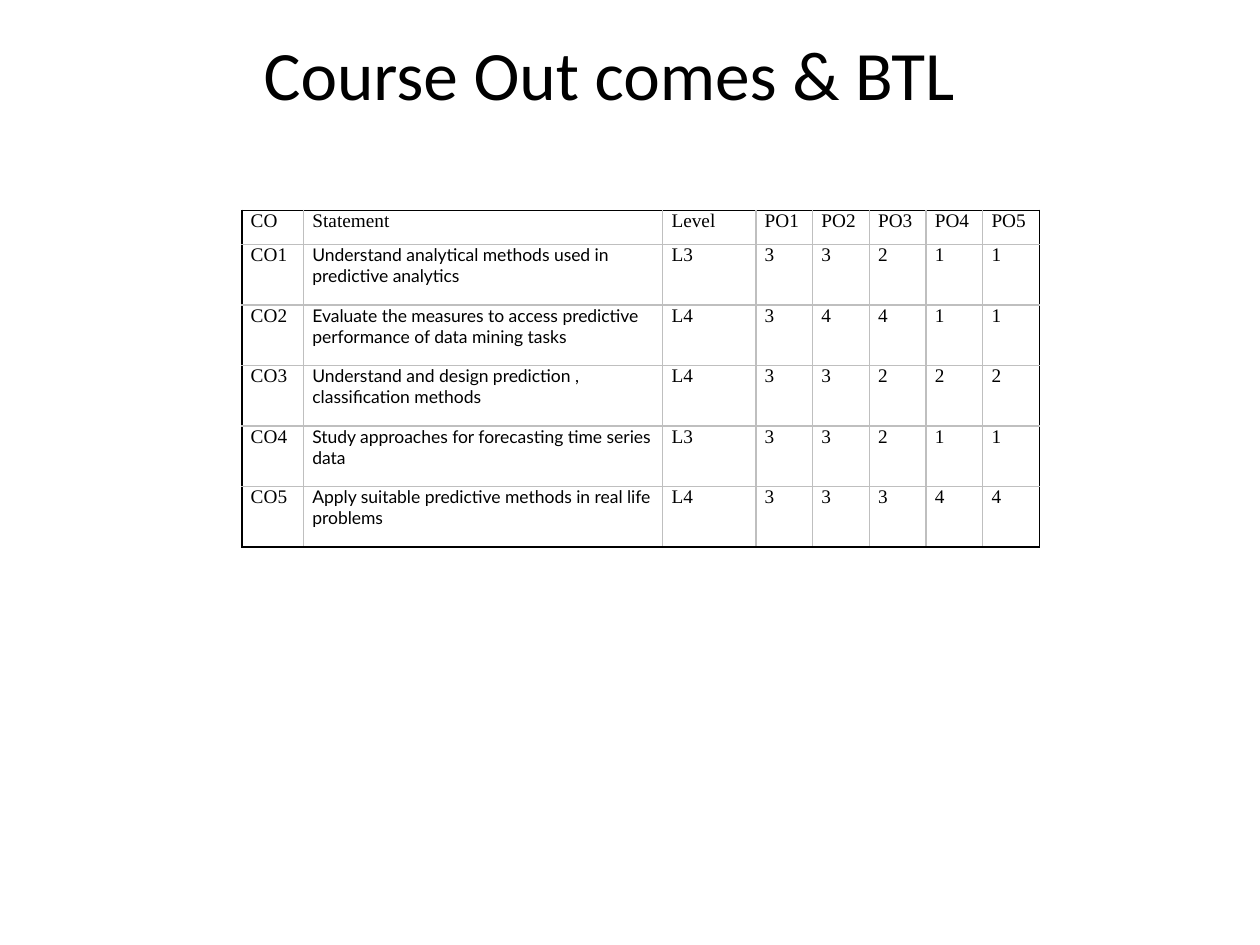
from dataclasses import dataclass

from lxml import etree
from pptx import Presentation
from pptx.dml.color import RGBColor
from pptx.enum import text
from pptx.oxml import ns
from pptx.util import Inches, Pt


@dataclass(frozen=True)
class Theme:
    ink: str = "000000"
    grid: str = "BFBFBF"
    title_font: str = "Calibri"
    body_font: str = "Times New Roman"
    statement_font: str = "Lato"
    title_size: float = 39.6
    body_size: float = 11
    statement_size: float = 10
    border: float = 1


theme = Theme()


def style(para, font, size):
    for span in para.runs:
        span.font.name = font
        span.font.size = Pt(size)
        span.font.color.rgb = RGBColor.from_string(theme.ink)


def add_border(cell, side, color):
    line = etree.SubElement(cell._tc.get_or_add_tcPr(), ns.qn(f"a:ln{side}"),
                            w=str(Pt(theme.border)))
    fill = etree.SubElement(line, ns.qn("a:solidFill"))
    etree.SubElement(fill, ns.qn("a:srgbClr"), val=color)


deck = Presentation()
deck.slide_width, deck.slide_height = Inches(10), Inches(7.5)
page = deck.slides.add_slide(deck.slide_layouts[6])

title = page.shapes.add_textbox(Inches(1.5), Inches(0.33), Inches(6.67), Inches(0.5))
frame = title.text_frame
frame.word_wrap = True
frame.vertical_anchor = text.MSO_ANCHOR.MIDDLE
frame.text = "Course Out comes & BTL"
frame.paragraphs[0].alignment = text.PP_ALIGN.CENTER
style(frame.paragraphs[0], theme.title_font, theme.title_size)

outcomes = [
    ("CO", "Statement", "Level", "PO1", "PO2", "PO3", "PO4", "PO5"),
    ("CO1", "Understand analytical methods used in predictive analytics", "L3", *"33211"),
    ("CO2", "Evaluate the measures to access predictive performance of data mining tasks",
     "L4", *"34411"),
    ("CO3", "Understand and design prediction , classification methods", "L4", *"33222"),
    ("CO4", "Study approaches for forecasting time series data", "L3", *"33211"),
    ("CO5", "Apply suitable predictive methods in real life problems", "L4", *"33344"),
]
column_widths = [0.49, 2.85, 0.74] + [0.45] * 5
row_heights = [0.27] + [0.48] * 5
last_row, last_column = len(row_heights) - 1, len(column_widths) - 1

table = page.shapes.add_table(
    len(row_heights), len(column_widths), Inches(1.92), Inches(1.67),
    Inches(sum(column_widths)), Inches(sum(row_heights))).table
table.first_row = table.horz_banding = False
for column, width in zip(table.columns, column_widths):
    column.width = Inches(width)
for row, height in zip(table.rows, row_heights):
    row.height = Inches(height)

for r, outcome in enumerate(outcomes):
    for c, wording in enumerate(outcome):
        cell = table.cell(r, c)
        cell.margin_left = cell.margin_right = Inches(0.07)
        cell.margin_top = cell.margin_bottom = 0
        cell.text_frame.text = wording
        if r > 0 and c == 1:
            style(cell.text_frame.paragraphs[0], theme.statement_font, theme.statement_size)
        else:
            style(cell.text_frame.paragraphs[0], theme.body_font, theme.body_size)
        outer_edges = {"L": c == 0, "R": c == last_column, "T": r == 0, "B": r == last_row}
        for side, outer in outer_edges.items():
            add_border(cell, side, theme.ink if outer else theme.grid)
        cell.fill.background()

deck.save("out.pptx")
